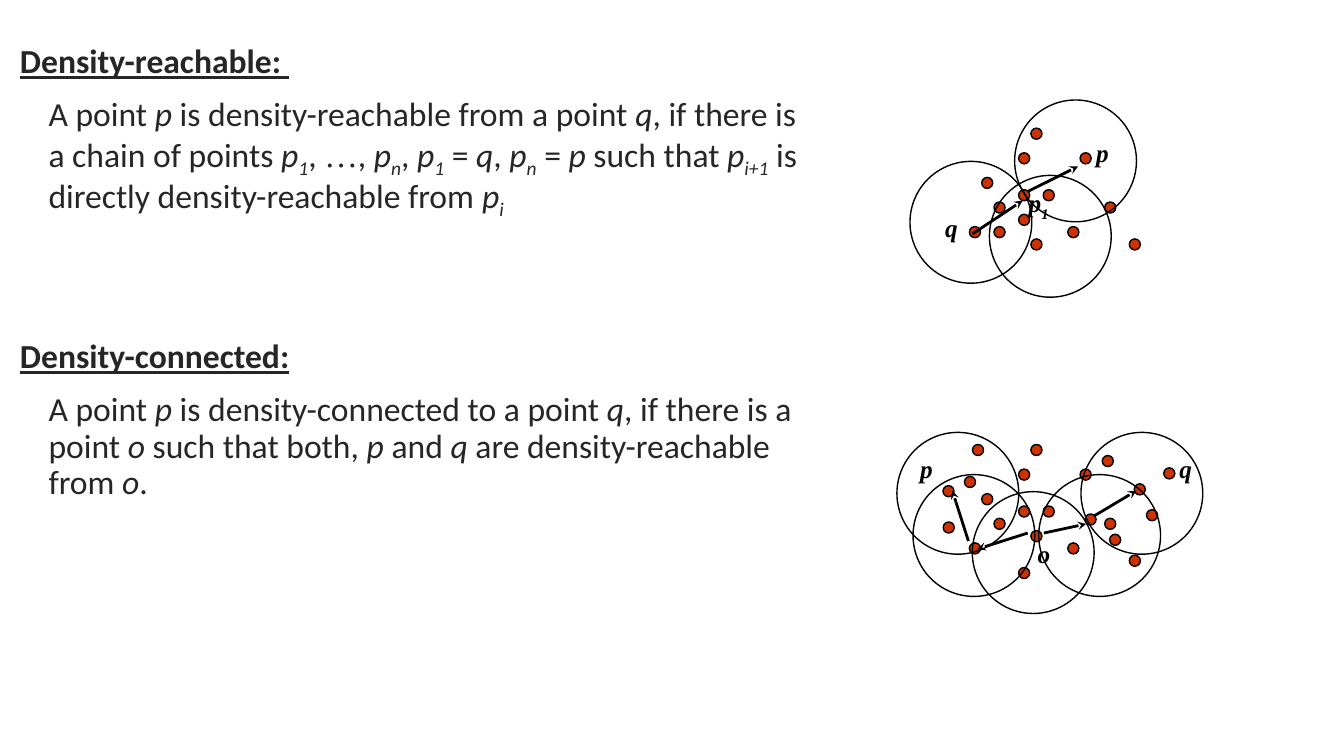
from dataclasses import dataclass

from lxml.etree import SubElement
from pptx import Presentation
from pptx.dml.color import RGBColor
from pptx.enum.shapes import MSO_CONNECTOR as Connector, MSO_SHAPE as Shape
from pptx.enum.text import MSO_ANCHOR as Anchor, MSO_AUTO_SIZE as AutoSize, PP_ALIGN as Align
from pptx.oxml.ns import qn
from pptx.util import Cm, Pt


@dataclass(frozen=True)
class Theme:
    body_font: str = "Calibri"
    math_font: str = "Times New Roman"
    body_size: Pt = Pt(24)
    label_size: Pt = Pt(18)
    thin: Pt = Pt(1)
    thick: Pt = Pt(2)
    text: RGBColor = RGBColor(0x26, 0x26, 0x26)
    ink: RGBColor = RGBColor(0, 0, 0)
    dot: RGBColor = RGBColor(0xCC, 0x33, 0x00)


THEME = Theme()
GRID = 0.31  # cm between neighbouring data points
DOT_SIZE = 0.28
CIRCLE_SIZE = 3.07

# In markup, "|" separates runs, "*" marks a variable and "_" its index.
DEFINITIONS = [
    ("Density-reachable: ", 0,
     "A point |*p| is density-reachable from a point |*q|, if there is a chain of points "
     "|*p|_1|, |…|, |*p|_n|, |*p|_1| = |*q|, |*p|_n| = |*p| such that |*p|_i+1"
     "| is directly density-reachable from |*p|_i"),
    ("Density-connected:", 88,
     "A point |*p| is density-connected to a point |*q|, if there is a point |*o "
     "|such that both, |*p| and |*q| are density-reachable from |*o|."),
]

# Diagram coordinates are in grid steps from the diagram's origin.
REACHABLE = {
    "points": [(1, 4), (4, 5), (4, 2), (0, 8), (2, 6), (2, 8), (5, 9), (5, 0),
               (11, 6), (9, 2), (4, 7), (6, 5), (8, 8), (13, 9)],
    "circles": [(6.13, 8.34), (-0.33, 7.2), (8.18, 2.21)],
    "arrows": [((4.29, 4.7), (8.38, 2.66)), ((-0.2, 8.14), (3.88, 5.44))],
    "labels": [("*p", 9.04, -0.12), ("*q", -3.23, 6.01), ("*p|_1", 3.56, 3.97)],
}
CONNECTED = {
    "points": [(1, 4), (4, 5), (4, 2), (0, 8), (2, 6), (4, 10), (5, 7), (5, 0),
               (11, 6), (9, 2), (-2.13, 6.3), (6, 5), (8, 8), (13, 9),
               (14.4, 5.3), (9.4, 5.65), (11.4, 7.3), (15.8, 1.9), (10.8, 0.9),
               (13.4, 3.2), (-0.4, 2.6), (-2.15, 3.35), (0.25, 0)],
    "circles": [(-0.08, 6.95), (4.74, 8.34), (10.14, 6.95), (13.57, 3.52), (-1.39, 3.52)],
    "arrows": [((4.29, 6.75), (0.2, 8.05)), ((5.6, 6.75), (9.04, 6.01)),
               ((-0.53, 7.4), (-1.84, 3.31)), ((9.69, 5.36), (13.12, 3.31))],
    "labels": [("*p", -5.27, -0.12), ("*q", 15.82, -0.12), ("*o", 4.29, 6.75)],
}


def write_runs(paragraph, markup):
    for token in markup.split("|"):
        marked = token[0] in "*_"
        run = paragraph.add_run()
        run.text = token[1:] if marked else token
        if marked:
            run.font.italic = True
        if token[0] == "_":
            run._r.get_or_add_rPr().set("baseline", "-25000")
        if token == "…":
            run.font.name = THEME.math_font


def style(font, name, size, color, bold):
    font.name, font.size, font.bold = name, size, bold
    font.color.rgb = color


def add_definitions(body, left, top, width, height):
    body.left, body.top, body.width, body.height = left, top, width, height
    frame = body.text_frame
    frame.word_wrap, frame.auto_size = True, AutoSize.NONE
    frame.vertical_anchor = Anchor.TOP
    lines = []
    for heading, gap, explanation in DEFINITIONS:
        lines += [(heading, gap, 0), (explanation, 12, 1)]
    for number, (markup, gap, level) in enumerate(lines):
        paragraph = frame.paragraphs[0] if number == 0 else frame.add_paragraph()
        paragraph.level, paragraph.alignment = level, Align.LEFT
        paragraph.line_spacing, paragraph.space_before = 0.9, Pt(gap)
        properties = paragraph._p.get_or_add_pPr()
        properties.set("marL", str(Cm(0.97 if level else 0.25)))
        properties.set("indent", "0")
        SubElement(properties, qn("a:buNone"))
        style(paragraph.font, THEME.body_font, THEME.body_size, THEME.text, level == 0)
        paragraph.font.underline = level == 0
        write_runs(paragraph, markup)


def add_disc(shapes, x, y, size, fill=None):
    disc = shapes.add_shape(Shape.OVAL, Cm(x - size / 2), Cm(y - size / 2), Cm(size), Cm(size))
    disc.shadow.inherit = False
    disc.line.color.rgb, disc.line.width = THEME.ink, THEME.thin
    if fill is None:
        disc.fill.background()
    else:
        disc.fill.solid()
        disc.fill.fore_color.rgb = fill


def add_arrow(shapes, start, tip):
    arrow = shapes.add_connector(Connector.STRAIGHT, *(Cm(v) for v in (*start, *tip)))
    arrow.line.color.rgb, arrow.line.width = THEME.ink, THEME.thick
    SubElement(arrow.line._get_or_add_ln(), qn("a:tailEnd"), type="stealth")
    SubElement(arrow._element.spPr, qn("a:effectLst"))


def add_label(shapes, markup, x, y):
    width = 1.7 if "|" in markup else 1.07
    frame = shapes.add_textbox(Cm(x), Cm(y), Cm(width), Cm(1.02)).text_frame
    frame.word_wrap = True
    paragraph = frame.paragraphs[0]
    style(paragraph.font, THEME.math_font, THEME.label_size, THEME.ink, True)
    write_runs(paragraph, markup)


def add_diagram(slide, left, top, content):
    """Draw one neighbourhood diagram with its origin at left, top (cm)."""
    def place(x, y):
        return left + x * GRID, top + y * GRID

    shapes = slide.shapes.add_group_shape().shapes
    for point in content["points"]:
        add_disc(shapes, *place(*point), DOT_SIZE, THEME.dot)
    for center in content["circles"]:
        add_disc(shapes, *place(*center), CIRCLE_SIZE)
    for start, tip in content["arrows"]:
        add_arrow(shapes, place(*start), place(*tip))
    for markup, x, y in content["labels"]:
        add_label(shapes, markup, *place(x, y))


def main():
    deck = Presentation()
    deck.slide_width, deck.slide_height = Cm(33.87), Cm(19.05)
    slide = deck.slides.add_slide(deck.slide_layouts[1])
    title = slide.shapes.title._element
    title.getparent().remove(title)

    # Definitions on the left, one diagram beside each
    add_definitions(slide.placeholders[1], Cm(0), Cm(1), Cm(20.52), Cm(16.8))
    add_diagram(slide, 24.57, 3.37, REACHABLE)
    add_diagram(slide, 24.57, 11.34, CONNECTED)
    deck.save("out.pptx")


if __name__ == "__main__":
    main()
